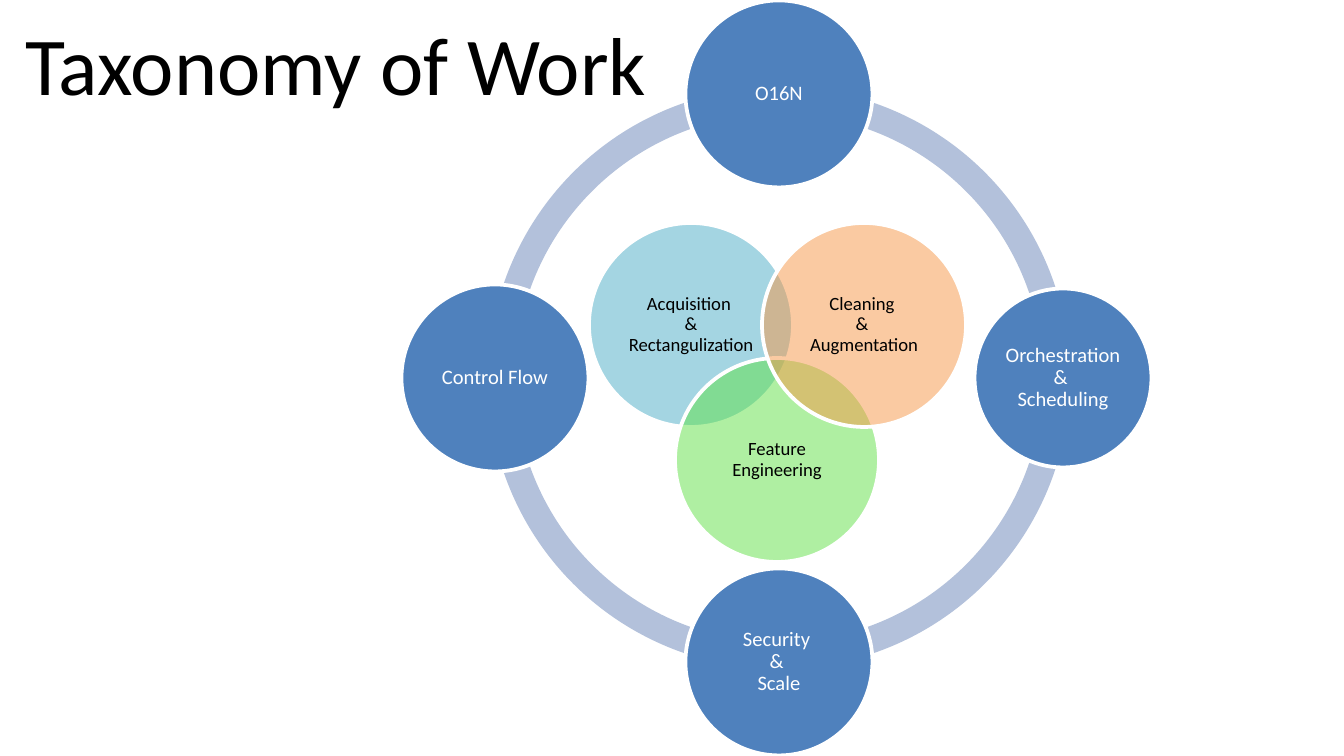
from lxml.etree import SubElement
from pptx import Presentation
from pptx.dml.color import RGBColor
from pptx.enum.shapes import MSO_SHAPE
from pptx.enum.text import MSO_ANCHOR, PP_ALIGN
from pptx.oxml.ns import qn
from pptx.util import Emu, Pt

# Content
TITLE = "Taxonomy of Work"
# Clockwise from the top: label, width, height
ORBIT_TOPICS = [
    ("O16N", 187, 187),
    ("Orchestration & \nScheduling", 177, 179),
    ("Security \n& \nScale", 187, 187),
    ("Control Flow", 187, 187),
]
# Back to front: label, colour, centre
CORE_TOPICS = [
    ("Acquisition \n& Rectangulization", "aqua", (691, 325)),
    ("Feature Engineering", "green", (777, 460)),
    ("Cleaning \n& \nAugmentation", "orange", (864, 325)),
]
COLORS = {
    "white": "FFFFFF", "black": "000000", "ring": "B3C1DB", "blue": "4F81BD",
    "aqua": "4BACC6", "green": "60E146", "orange": "F79646",
}

# Layout in px
EMU_PER_PX = 914400 / 134.4
SLIDE_SIZE = (1344, 756)
CENTER_X, CENTER_Y = 779, 378
ORBIT_RADIUS = 284
RING_SIZE, HUB_SIZE, CORE_SIZE = 582, 267, 204
DIRECTIONS = [(0, -1), (1, 0), (0, 1), (-1, 0)]
ARC_ANGLES = [180, 90, 0, 270]
RING_THICKNESS = 0.046


def px(value):
    return Emu(round(value * EMU_PER_PX))


def rgb(color):
    return RGBColor.from_string(COLORS[color])


def write(frame, label, size, color, margin, spacing):
    formats = {"word_wrap": True, "vertical_anchor": MSO_ANCHOR.MIDDLE}
    for side in ("left", "right", "top", "bottom"):
        formats[f"margin_{side}"] = px(margin)
    for name, value in formats.items():
        setattr(frame, name, value)
    paragraph = frame.paragraphs[0]
    paragraph.text = label
    for name, value in {"alignment": PP_ALIGN.CENTER, "line_spacing": spacing}.items():
        setattr(paragraph, name, value)
    for run in paragraph.runs:
        for name, value in {"name": "Calibri", "size": Pt(size)}.items():
            setattr(run.font, name, value)
        run.font.color.rgb = rgb(color)


def add_centered(kind, x, y, width, height, fill):
    shape = slide.shapes.add_shape(
        kind, px(x - width / 2), px(y - height / 2), px(width), px(height))
    shape.shadow.inherit = False
    shape.fill.solid()
    shape.fill.fore_color.rgb = rgb(fill)
    shape.line.fill.background()
    return shape


def add_circle(x, y, width, height, fill):
    circle = add_centered(MSO_SHAPE.OVAL, x, y, width, height, fill)
    circle.line.color.rgb = rgb("white")
    circle.line.width = Pt(2)
    return circle


def make_half_transparent(shape):
    fill_color = shape.fill._xPr.find(qn("a:solidFill"))[0]
    SubElement(fill_color, qn("a:alpha"), val="50000")


presentation = Presentation()
presentation.slide_width, presentation.slide_height = map(px, SLIDE_SIZE)
slide = presentation.slides.add_slide(presentation.slide_layouts[6])

# Ring of four quarter arcs; an adjustment of 1 is 100000/60000 degrees
for start in ARC_ANGLES:
    arc = add_centered(MSO_SHAPE.BLOCK_ARC, CENTER_X, CENTER_Y,
                       RING_SIZE, RING_SIZE, "ring")
    arc.adjustments[0] = start * 0.6
    arc.adjustments[1] = (start + 90) % 360 * 0.6
    arc.adjustments[2] = RING_THICKNESS

# White hub behind the core topics
add_circle(CENTER_X, CENTER_Y, HUB_SIZE, HUB_SIZE, "white")

# Topics on the ring
for (label, width, height), (dx, dy) in zip(ORBIT_TOPICS, DIRECTIONS):
    topic = add_circle(CENTER_X + dx * ORBIT_RADIUS, CENTER_Y + dy * ORBIT_RADIUS,
                       width, height, "blue")
    write(topic.text_frame, label, 11, "white", 2, 0.9)

# Overlapping core topics
for label, color, (x, y) in CORE_TOPICS:
    topic = add_circle(x, y, CORE_SIZE, CORE_SIZE, color)
    make_half_transparent(topic)
    write(topic.text_frame, label, 10, "black", 5, 0.9)

# Title
title = slide.shapes.add_textbox(px(-269), px(0), px(1210), px(126))
write(title.text_frame, TITLE, 44, "black", 7, 1.0)

presentation.save("out.pptx")
